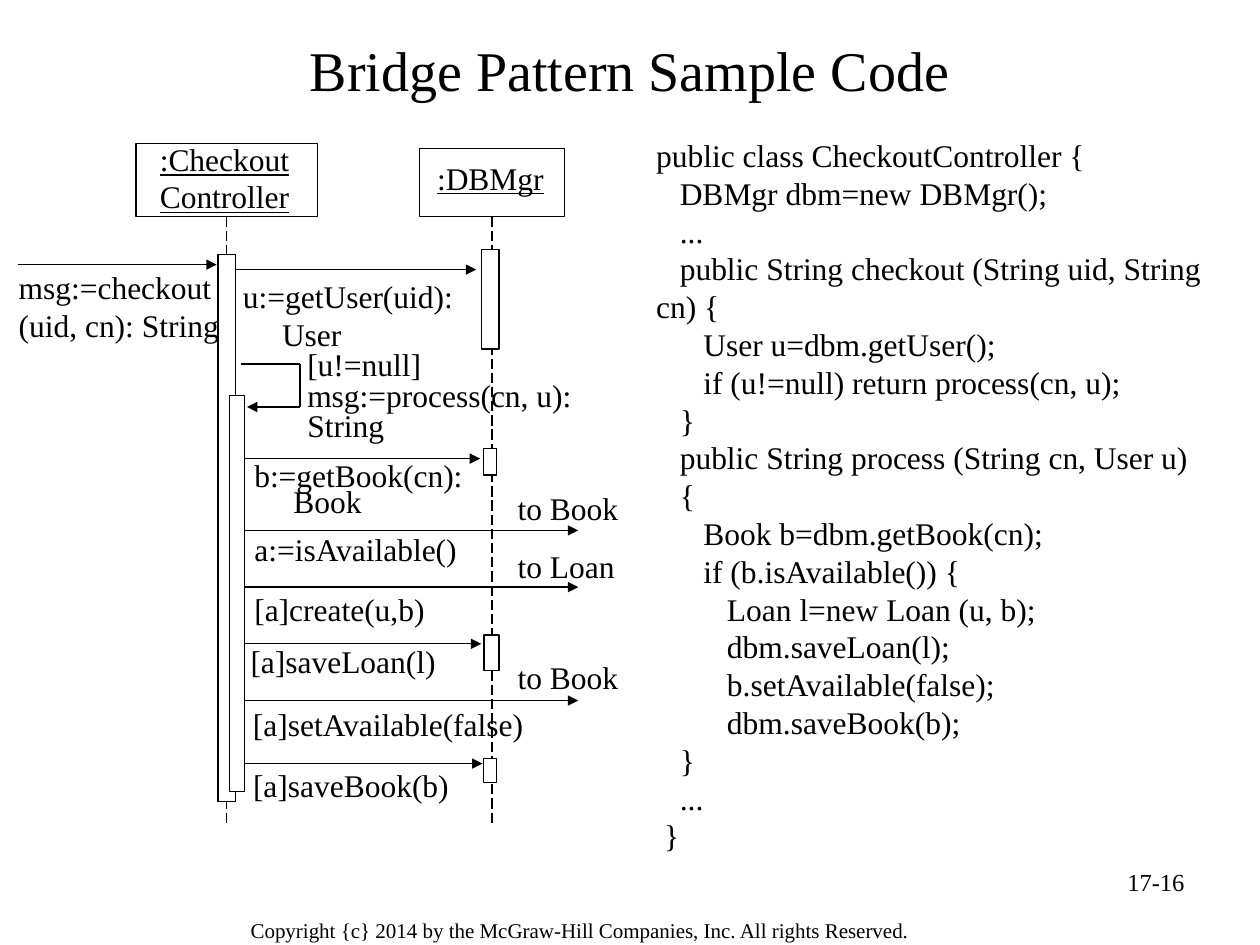
from pptx import Presentation
from pptx.dml.color import RGBColor
from pptx.enum.dml import MSO_LINE
from pptx.enum.shapes import MSO_CONNECTOR, MSO_SHAPE
from pptx.enum.text import MSO_ANCHOR, MSO_AUTO_SIZE, PP_ALIGN
from pptx.oxml.ns import qn
from pptx.util import Inches, Pt
from lxml import etree

BLACK, WHITE = "000000", "FFFFFF"

CODE = """public class CheckoutController {
   DBMgr dbm=new DBMgr();
   ...
   public String checkout (String uid, String cn) {
      User u=dbm.getUser();
      if (u!=null) return process(cn, u);
   }
   public String process (String cn, User u)
   {
      Book b=dbm.getBook(cn);
      if (b.isAvailable()) {
         Loan l=new Loan (u, b);
         dbm.saveLoan(l);
         b.setAvailable(false);
         dbm.saveBook(b);
   }
   ...
 }"""


def color(value):
    return RGBColor.from_string(value)


def add_text(slide, box, text, size=18, align=PP_ALIGN.LEFT, wrap=False,
             space=None, anchor=MSO_ANCHOR.TOP, line=False, hang=0):
    """Place text; lines after the first are indented by hang inches."""
    frame = slide.shapes.add_textbox(*map(Inches, box)).text_frame
    frame.word_wrap = wrap
    if not wrap:
        frame.auto_size = MSO_AUTO_SIZE.SHAPE_TO_FIT_TEXT
    frame.vertical_anchor = anchor
    frame.text = text
    style = {"name": "Times New Roman", "size": Pt(size), "underline": line}
    for i, para in enumerate(frame.paragraphs):
        para.alignment = align
        if space:
            para.line_spacing = space
        if hang and i:
            para._p.get_or_add_pPr().set("marL", str(Inches(hang)))
        for run in para.runs:
            for name, value in style.items():
                setattr(run.font, name, value)
            run.font.color.rgb = color(BLACK)


def add_rect(slide, box, fill=None):
    rect = slide.shapes.add_shape(MSO_SHAPE.RECTANGLE, *map(Inches, box))
    rect.shadow.inherit = False
    if fill:
        rect.fill.solid()
        rect.fill.fore_color.rgb = color(fill)
    else:
        rect.fill.background()
    rect.line.color.rgb = color(BLACK)
    rect.line.width = Pt(0.75)
    return rect


def add_line(slide, x1, y1, x2, y2, arrow=True, dash=None):
    link = slide.shapes.add_connector(
        MSO_CONNECTOR.STRAIGHT, *map(Inches, (x1, y1, x2, y2)))
    link.line.color.rgb = color(BLACK)
    link.line.width = Pt(0.75)
    if dash:
        link.line.dash_style = dash
    if arrow:
        tail = etree.SubElement(link.line._get_or_add_ln(), qn("a:tailEnd"))
        tail.set("type", "triangle")
    etree.SubElement(link._element.spPr, qn("a:effectLst"))
    return link


def add_object(slide, head, label, name):
    """Head of an object with its dashed lifeline."""
    left, top, width, height = head
    rect = add_rect(slide, head)
    mid = left + width / 2
    life = add_line(slide, mid, top + height, mid, 6.55,
                    arrow=False, dash=MSO_LINE.LONG_DASH)
    life.begin_connect(rect, 2)
    add_text(slide, label, name, line=True)


def add_diagram(slide):
    # Objects and lifelines
    add_object(slide, (1.08, 1.14, 1.44, 0.58), (1.17, 1.06, 1.23, 0.7),
               ":Checkout\nController")
    add_object(slide, (3.33, 1.18, 1.15, 0.54), (3.37, 1.21, 1.08, 0.4),
               ":DBMgr")

    # Activation bars
    for bar in ((1.73, 2.02, 0.14, 4.34), (1.82, 3.14, 0.12, 3.14),
                (3.82, 1.98, 0.14, 0.79), (3.84, 3.56, 0.1, 0.21),
                (3.84, 5.04, 0.12, 0.28), (3.84, 6.02, 0.1, 0.19)):
        add_rect(slide, bar, WHITE)

    # Message arrows: start, end, height
    for start, end, y in ((0.14, 1.72, 2.1), (1.87, 3.78, 2.14),
                          (1.94, 3.81, 3.64), (1.94, 4.59, 4.21),
                          (1.94, 4.59, 4.66), (1.94, 3.82, 5.11),
                          (1.94, 4.59, 5.56), (1.94, 3.83, 6.06)):
        add_line(slide, start, y, end, y)

    # Call to itself
    add_line(slide, 1.91, 2.89, 2.38, 2.89, arrow=False)
    add_line(slide, 2.38, 2.89, 2.38, 3.23, arrow=False)
    add_line(slide, 2.38, 3.23, 1.96, 3.23)

    # Message labels
    for box, text, style in (
        ((0.05, 2.08, 1.8, 0.7), "msg:=checkout\n(uid, cn): String",
         {"wrap": True}),
        ((1.83, 2.15, 1.99, 0.7), "u:=getUser(uid):\nUser",
         {"wrap": True, "hang": 0.31}),
        ((2.34, 2.75, 2.81, 0.82), "[u!=null] msg:=process(cn, u): String",
         {"space": 0.8, "wrap": True}),
        ((1.92, 3.65, 2.03, 0.52), "b:=getBook(cn):\nBook",
         {"space": 0.7, "wrap": True, "hang": 0.31}),
        ((1.92, 4.16, 1.82, 0.4), "a:=isAvailable()", {}),
        ((1.92, 4.63, 1.55, 0.4), "[a]create(u,b)", {}),
        ((1.89, 5.13, 1.67, 0.31), "[a]saveLoan(l)", {"space": 0.7}),
        ((1.91, 5.55, 2.36, 0.4), "[a]setAvailable(false)", {}),
        ((1.91, 6.11, 1.78, 0.31), "[a]saveBook(b)", {"space": 0.7}),
        ((4.01, 3.83, 1, 0.4), "to Book", {}),
        ((4.01, 4.29, 0.97, 0.4), "to Loan", {}),
        ((4.01, 5.17, 1, 0.4), "to Book", {}),
    ):
        add_text(slide, box, text, **style)


def add_footer(slide):
    add_text(slide, (1.89, 7.23, 6.19, 0.31),
             "Copyright {c} 2014 by the McGraw-Hill Companies, Inc. "
             "All rights Reserved.", size=12, wrap=True)
    add_text(slide, (7.17, 6.83, 2.33, 0.52), "17-16", size=14,
             align=PP_ALIGN.RIGHT, wrap=True)


def main():
    deck = Presentation()
    deck.slide_width, deck.slide_height = Inches(10), Inches(7.5)
    slide = deck.slides.add_slide(deck.slide_layouts[6])
    add_text(slide, (0.5, 0.17, 9, 0.75), "Bridge Pattern Sample Code",
             size=32, align=PP_ALIGN.CENTER, wrap=True,
             anchor=MSO_ANCHOR.MIDDLE)
    add_diagram(slide)
    add_text(slide, (5.11, 1.03, 4.7, 6.26), CODE, wrap=True)
    add_footer(slide)
    deck.save("out.pptx")


if __name__ == "__main__":
    main()
